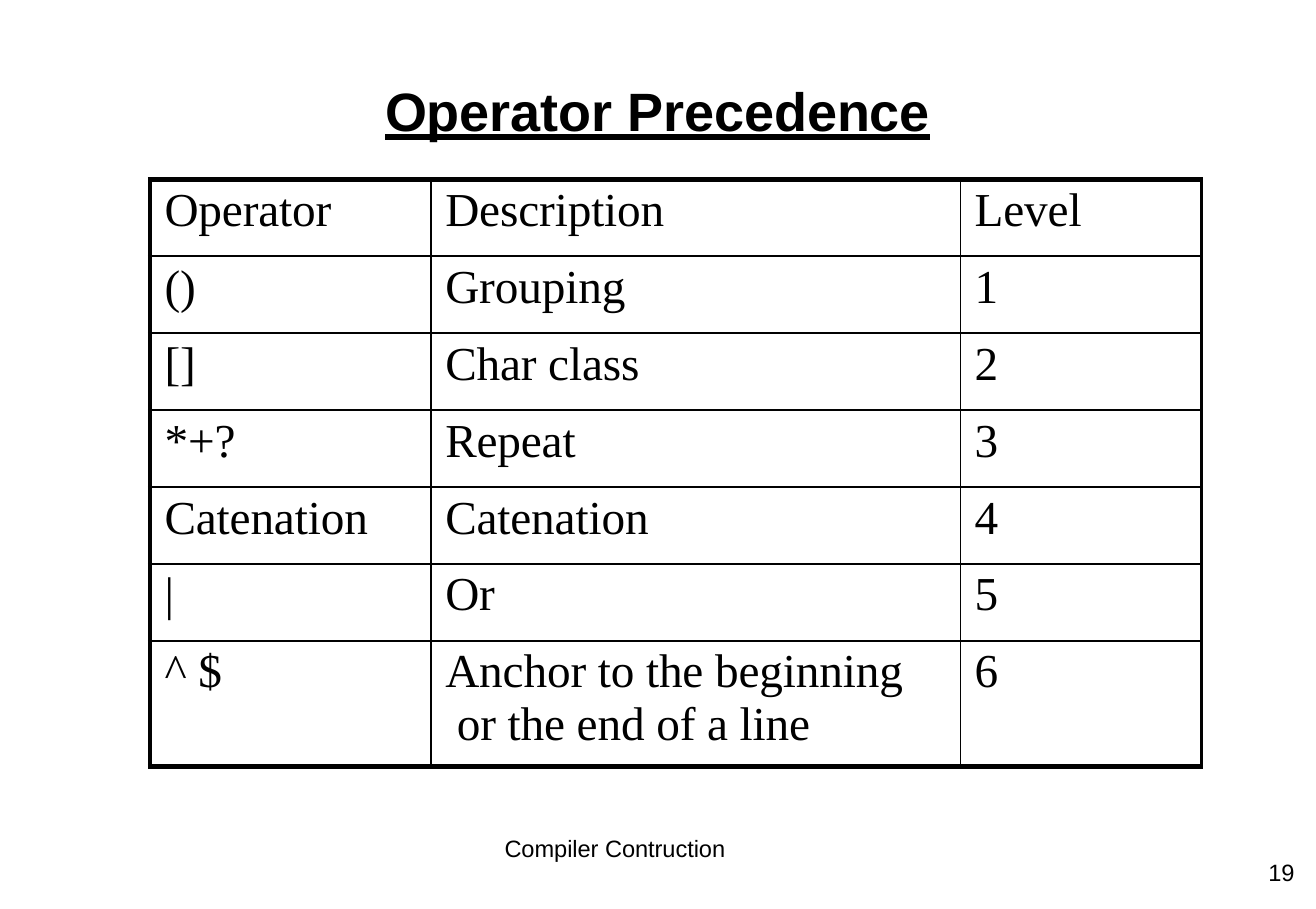
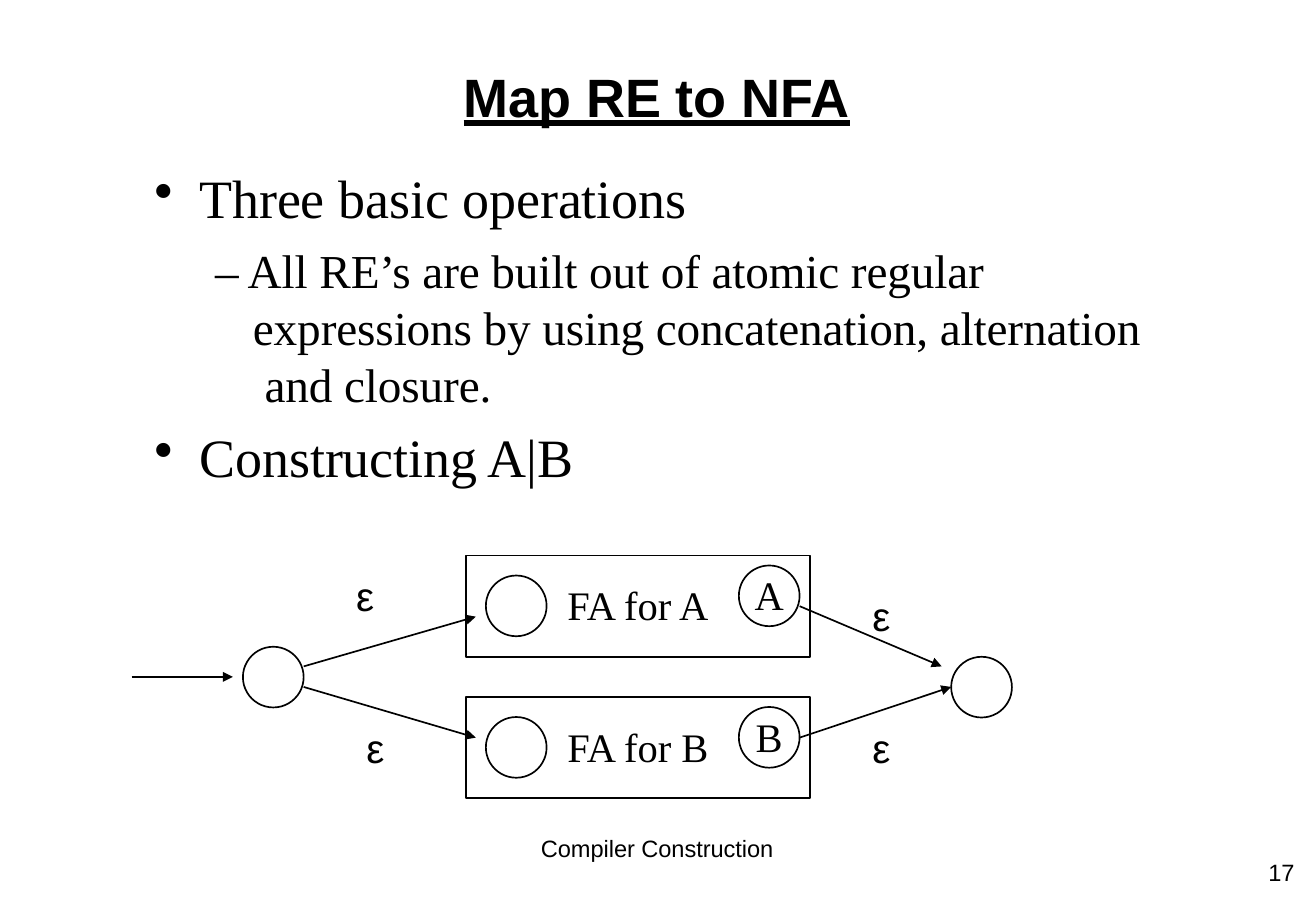
from dataclasses import dataclass

from lxml.etree import SubElement as Sub
from pptx import Presentation
from pptx.dml.color import RGBColor as Rgb
from pptx.enum.shapes import MSO_CONNECTOR as Link, MSO_SHAPE as Kind
from pptx.enum.text import MSO_ANCHOR as Anchor, MSO_UNDERLINE as Under, PP_ALIGN as Align
from pptx.oxml import parse_xml
from pptx.oxml.ns import nsdecls, qn
from pptx.util import Cm, Pt


@dataclass(frozen=True)
class Theme:
    ink: Rgb = Rgb(0, 0, 0)
    line: Rgb = Rgb(1, 1, 1)
    sans: str = "Arial"
    serif: str = "Times New Roman"
    head: int = 32
    text: int = 28
    label: int = 24
    foot: int = 14


look = Theme()


def frame(shape, top=0.0):
    """Clear the insets of a shape and return its text frame."""
    tf = shape.text_frame
    tf.margin_left = tf.margin_right = tf.margin_bottom = 0
    tf.margin_top = Cm(top)
    tf.vertical_anchor = Anchor.TOP
    tf.word_wrap = True
    return tf


def write(para, text, size, face, track=-6):
    """Add text run by run, with a line break at each newline."""
    for i, part in enumerate(text.split("\n")):
        if i:
            para.add_line_break()
        run = para.add_run()
        run.text = part
        run.font.size, run.font.name = Pt(size), face
        run.font.color.rgb = look.ink
        run._r.get_or_add_rPr().set("spc", str(track))


deck = Presentation()
deck.slide_width, deck.slide_height = Pt(780), Pt(539)

# Titles, footers and page numbers
heads = [
    # title, left, top, width, footer, footer left, footer width, page
    ("Operator Precedence", 8.01, 1.57, 11.48,
     "Compiler Contruction", 10.55, 4.7, "19"),
    ("Map RE to NFA", 9.63, 1.27, 8.2,
     "Compiler Construction", 11.31, 4.95, "17"),
]
slides = []
for name, x, y, w, foot, left, wide, page in heads:
    slide = deck.slides.add_slide(deck.slide_layouts[5])
    slides.append(slide)
    title = slide.shapes.title
    title.left, title.top, title.width, title.height = Cm(x), Cm(y), Cm(w), Cm(1.42)
    para = frame(title, 0.05).paragraphs[0]
    para.alignment = Align.CENTER
    write(para, name, look.head, look.sans)
    font = para.runs[0].font
    font.bold, font.underline = True, Under.HEAVY_LINE
    for text, fx, fy, fw in ((foot, left, 17.45, wide), (page, 26.52, 17.97, 0.7)):
        note = slide.shapes.add_textbox(Cm(fx), Cm(fy), Cm(fw), Cm(0.64))
        para = frame(note).paragraphs[0]
        para.line_spacing = Pt(16.4)
        write(para, text, look.foot, look.sans)
first, second = slides

# Table of operators
rows = [
    ("Operator", "Description", "Level"),
    ("()", "Grouping", "1"),
    ("[]", "Char class", "2"),
    ("*+?", "Repeat", "3"),
    ("Catenation", "Catenation", "4"),
    ("|", "Or", "5"),
    ("^ $", "Anchor to the beginning\n or the end of a line", "6"),
]
cols = (5.87, 11.07, 5.05)
tall = [1.61] * 6 + [2.62]
down = (3, 1.5, 1, 2.25)  # vertical rules, left to right
across = [3] + [1.5] * 6 + [3]  # horizontal rules, top to bottom
grid = first.shapes.add_table(len(rows), len(cols), Cm(3.14), Cm(3.75),
                              Cm(sum(cols)), Cm(sum(tall))).table
grid.first_row = grid.horz_banding = False
for c, wide in enumerate(cols):
    grid.columns[c].width = Cm(wide)
for r, row in enumerate(rows):
    grid.rows[r].height = Cm(tall[r])
    for c, text in enumerate(row):
        cell = grid.cell(r, c)
        cell.margin_left, cell.margin_top = Cm(0.3), Cm(0.1)
        cell.margin_right = cell.margin_bottom = 0
        cell.fill.background()
        write(cell.text_frame.paragraphs[0], text, look.text, look.serif)
        sides = {"L": down[c], "R": down[c + 1], "T": across[r], "B": across[r + 1]}
        for i, (side, size) in enumerate(sides.items()):
            edge = parse_xml(
                f'<a:ln{side} {nsdecls("a")} w="{Pt(size)}"><a:solidFill>'
                f'<a:srgbClr val="{look.line}"/></a:solidFill></a:ln{side}>')
            cell._tc.get_or_add_tcPr().insert(i, edge)

# Bulleted text; the dash of the second level is typed
points = [
    # bullet, text, size, margin, indent, space before
    ("•", "Three basic operations", look.head, 0.99, -0.94, 0),
    ("", "– All RE’s are built out of atomic regular\n"
         "expressions by using concatenation, alternation\n and closure.",
     look.text, 2.11, -0.79, 7),
    ("•", "Constructing A|B", look.head, 0.99, -0.94, 7.4),
]
body = frame(second.shapes.add_textbox(Cm(3.18), Cm(3.15), Cm(20.8), Cm(7.11)), 0.3)
for i, (mark, text, size, edge, dent, gap) in enumerate(points):
    para = body.add_paragraph() if i else body.paragraphs[0]
    props = para._p.get_or_add_pPr()
    props.set("marL", str(Cm(edge)))
    props.set("indent", str(Cm(dent)))
    if mark:
        Sub(props, qn("a:buChar")).set("char", mark)
    para.space_before = Pt(gap)
    write(para, text, size, look.serif)

# Boxes and states of the automaton
dot = 1.27
nodes = [(Kind.OVAL, 5.08, 13.53, dot, dot, ""), (Kind.OVAL, 19.89, 13.74, dot, dot, "")]
for i, name in enumerate("AB"):
    y = 11.62 + i * 2.96
    nodes += [
        (Kind.RECTANGLE, 9.74, y, 7.2, 2.12, f"FA for {name}"),
        (Kind.OVAL, 10.16, y + 0.42, dot, dot, ""),
        (Kind.OVAL, 15.45, y + 0.21, dot, dot, name),
    ]
for kind, x, y, w, h, text in nodes:
    node = second.shapes.add_shape(kind, Cm(x), Cm(y), Cm(w), Cm(h))
    node.shadow.inherit = False
    node.fill.background()
    node.line.color.rgb, node.line.width = look.line, Pt(1)
    if text:
        tf = frame(node)
        tf.margin_bottom = Cm(0.06)
        tf.vertical_anchor, tf.word_wrap = Anchor.MIDDLE, False
        tf.paragraphs[0].alignment = Align.CENTER
        write(tf.paragraphs[0], text, look.label, look.serif, 0)

# Moves between states
moves = [
    (2.75, 14.16, 4.87, 14.16),
    (6.35, 13.94, 9.95, 12.9),
    (6.35, 14.37, 9.95, 15.43),
    (16.72, 12.68, 19.69, 13.94),
    (16.72, 15.43, 19.89, 14.37),
]
for ends in moves:
    move = second.shapes.add_connector(Link.STRAIGHT, *map(Cm, ends))
    move.line.color.rgb, move.line.width = look.line, Pt(1)
    Sub(move.line._get_or_add_ln(), qn("a:tailEnd")).set("type", "triangle")
    Sub(move._element.spPr, qn("a:effectLst"))

# Labels of the moves
for x, y in ((7.45, 11.91), (7.66, 15.09), (18.24, 12.34), (18.24, 15.09)):
    mark = second.shapes.add_textbox(Cm(x), Cm(y), Cm(0.43), Cm(1.09))
    write(frame(mark, 0.03).paragraphs[0], "ε", look.label, look.sans, 0)

deck.save("out.pptx")
